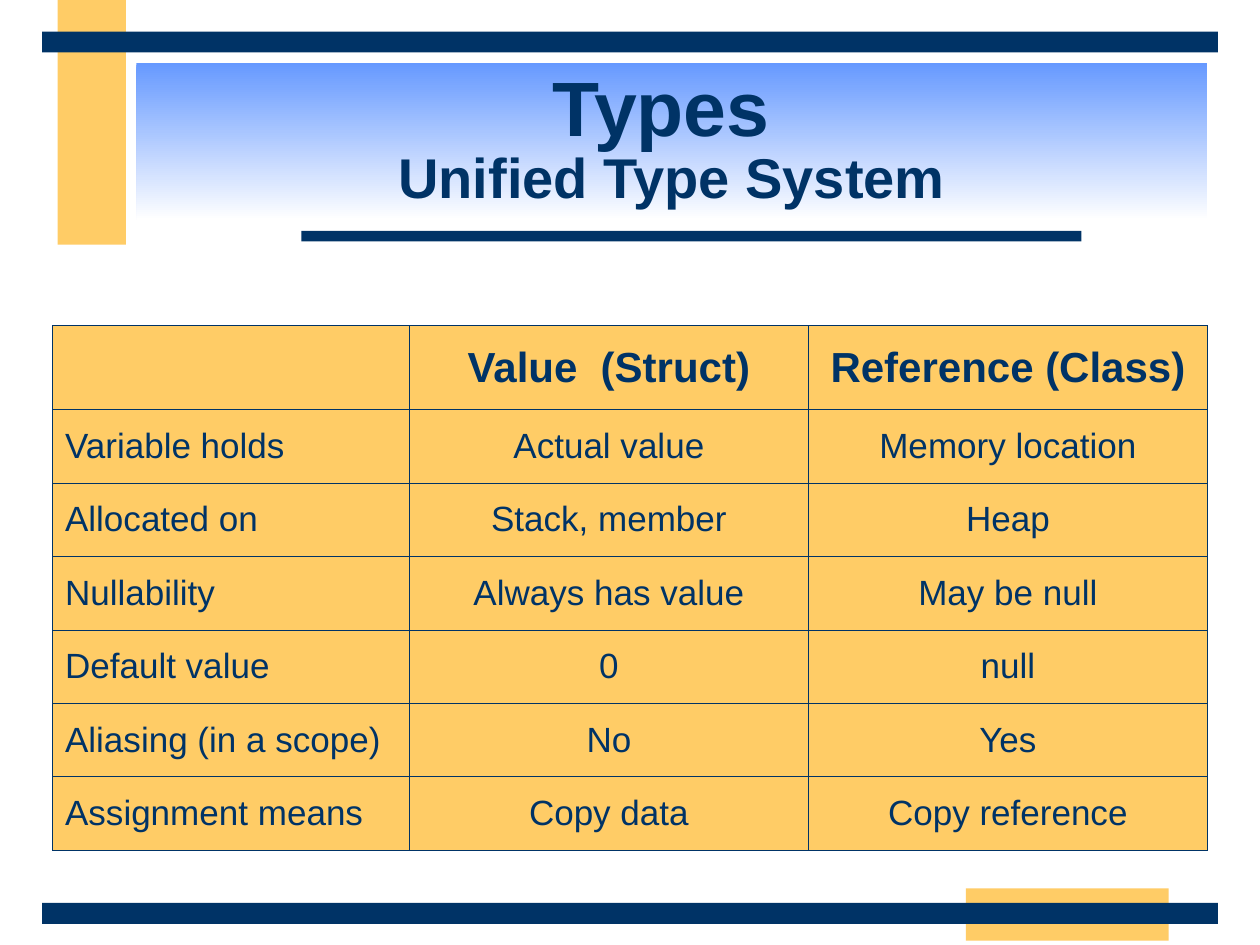
from lxml.etree import SubElement
from pptx import Presentation
from pptx.dml.color import RGBColor
from pptx.enum.shapes import MSO_SHAPE
from pptx.enum.text import MSO_ANCHOR, PP_ALIGN
from pptx.oxml.ns import qn
from pptx.util import Inches, Pt

NAVY = RGBColor(0x00, 0x33, 0x66)
GOLD = RGBColor(0xFF, 0xCC, 0x66)
BLUE = RGBColor(0x66, 0x99, 0xFF)
WHITE = RGBColor(0xFF, 0xFF, 0xFF)

UNIT = Inches(1) // 12  # the slide is a grid of 120 by 90 units

prs = Presentation()
prs.slide_width, prs.slide_height = 120 * UNIT, 90 * UNIT
s = prs.slides.add_slide(prs.slide_layouts[6])


def add_block(left, top, width, height, color=None):
    """Add a borderless rectangle measured in grid units."""
    sp = s.shapes.add_shape(MSO_SHAPE.RECTANGLE,
                            *(round(n * UNIT) for n in (left, top, width, height)))
    sp.shadow.inherit = False
    sp.line.fill.background()
    if color is not None:
        sp.fill.solid()
        sp.fill.fore_color.rgb = color
    return sp


def add_run(p, text, size, bold):
    r = p.add_run()
    r.text = text
    for name, value in {"name": "Arial", "size": Pt(size), "bold": bold}.items():
        setattr(r.font, name, value)
    r.font.color.rgb = NAVY


# Bands and rules
add_block(5.5, 0, 6.5, 23.3, GOLD)
add_block(92, 84.6, 19.3, 5, GOLD)
add_block(28.7, 22, 74.3, 1, NAVY)
for top in (86, 3):
    add_block(4, top, 112, 2, NAVY)

# Title
title = add_block(13, 6, 102, 15)
title.fill.gradient()
title.fill.gradient_angle = 270
for stop, color, position in zip(title.fill.gradient_stops, (BLUE, WHITE), (0, 1)):
    stop.color.rgb = color
    stop.position = position
tf = title.text_frame
tf.word_wrap = True
tf.vertical_anchor = MSO_ANCHOR.MIDDLE
p = tf.paragraphs[0]
p.alignment = PP_ALIGN.CENTER
p.line_spacing = 0.85
add_run(p, "Types ", 44, True)
p.add_line_break()
add_run(p, "Unified Type System", 32, True)

# Comparison table
COLUMNS = (34, 38, 38)
ROWS = (
    ("", "Value  (Struct)", "Reference (Class)"),
    ("Variable holds", "Actual value", "Memory location"),
    ("Allocated on", "Stack, member", "Heap"),
    ("Nullability", "Always has value", "May be null"),
    ("Default value", "0", "null"),
    ("Aliasing (in a scope)", "No", "Yes"),
    ("Assignment means", "Copy data", "Copy reference"),
)
HEADER_HEIGHT, ROW_HEIGHT = 8, 7
table = s.shapes.add_table(
    len(ROWS), len(COLUMNS), 5 * UNIT, 31 * UNIT, sum(COLUMNS) * UNIT,
    (HEADER_HEIGHT + ROW_HEIGHT * (len(ROWS) - 1)) * UNIT).table
for column, width in zip(table.columns, COLUMNS):
    column.width = width * UNIT

for i, texts in enumerate(ROWS):
    header = i == 0
    table.rows[i].height = (HEADER_HEIGHT if header else ROW_HEIGHT) * UNIT
    for j, text in enumerate(texts):
        cell = table.cell(i, j)
        cell.vertical_anchor = MSO_ANCHOR.MIDDLE
        p = cell.text_frame.paragraphs[0]
        p.alignment = PP_ALIGN.CENTER if j else PP_ALIGN.LEFT
        if text:
            add_run(p, text, 24 if header else 20, header)
        tc_pr = cell._tc.get_or_add_tcPr()
        for side in ("lnL", "lnR", "lnT", "lnB"):
            ln = SubElement(tc_pr, qn(f"a:{side}"), w=str(Pt(0.45)))
            SubElement(SubElement(ln, qn("a:solidFill")), qn("a:srgbClr"), val=str(NAVY))
        cell.fill.solid()
        cell.fill.fore_color.rgb = GOLD

prs.save("out.pptx")
